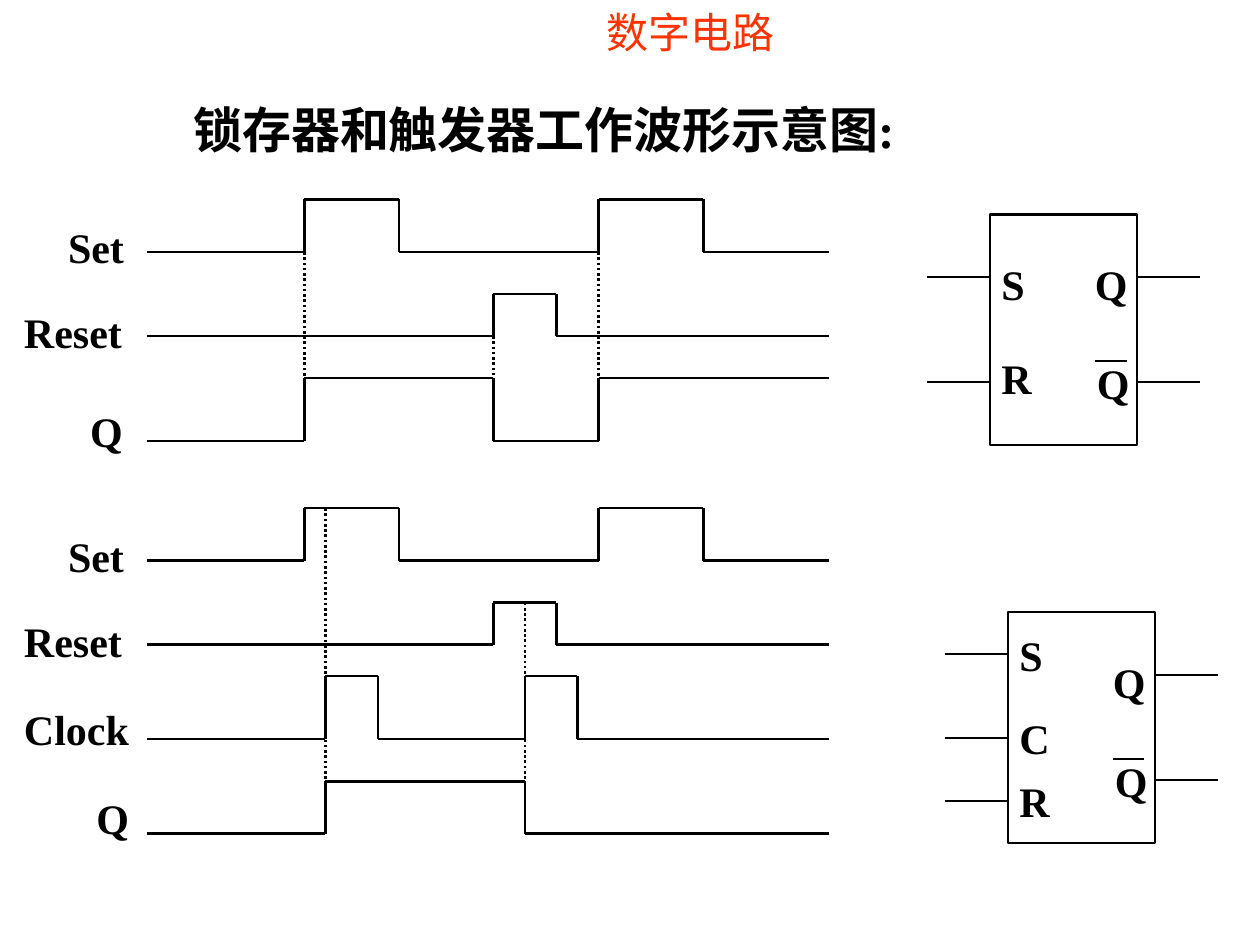
import pptx
import pptx.util
import pptx.dml.color
import pptx.enum.dml
import pptx.enum.shapes
import pptx.enum.text
import pptx.oxml.ns
from lxml import etree

COLORS = {"ink": "000000", "header": "FF3300"}
FONTS = {"latin": "Times New Roman", "chinese": "Noto Sans CJK SC"}
CELLS_PER_INCH = 12
WAVE_START, WAVE_END = 14, 79
CHIP_WIDTH, CHIP_HEIGHT, PIN_LENGTH = 14, 22, 6
LABEL_HEIGHT = 6
LABEL_WIDTHS = {"Set": 7.7, "Reset": 11.6, "Clock": 12.4,
                "S": 4.6, "R": 5.3, "C": 5.3, "Q": 5.5}

# Each signal: label, label column and row, low row, high row, toggle columns
SET = ("Set", 5.3, 20.5, 24, 19, (29, 38, 57, 67))
RESET = ("Reset", 1.1, 28.6, 32, 28, (47, 53))
# Each guide: column, top row, bottom row
DIAGRAMS = [
    {"row": 0,
     "signals": [SET, RESET, ("Q", 7.4, 38, 42, 36, (29, 47, 57))],
     "guides": [(29, 24, 37), (47, 28, 41), (57, 24, 37)]},
    {"row": 29.4,
     "signals": [SET, RESET,
                 ("Clock", 1.1, 37, 41, 35, (31, 36, 50, 55)),
                 ("Q", 8, 45.5, 50, 45, (31, 50))],
     "guides": [(31, 19, 45), (50, 28, 45)]},
]
# Each input: label, label row, pin row, all measured from the chip's top
CHIPS = [
    {"column": 94.3, "row": 20.4, "inputs": [("S", 3.6, 6), ("R", 12.6, 16)]},
    {"column": 96, "row": 58.3,
     "inputs": [("S", 1.1, 4), ("C", 9, 12), ("R", 15, 18)]},
]


def color(name):
    return pptx.dml.color.RGBColor.from_string(COLORS[name])


class SlideBuilder:
    """Draws in grid cells, twelve to the inch, from a movable origin."""

    def __init__(self, presentation):
        self.slide = presentation.slides.add_slide(presentation.slide_layouts[5])
        self.shapes = self.slide.shapes
        self.origin = (0, 0)

    def start_group(self, column, row):
        self.shapes = self.slide.shapes.add_group_shape().shapes
        self.origin = (column, row)

    def point(self, column, row):
        return [pptx.util.Inches((start + offset) / CELLS_PER_INCH)
                for start, offset in zip(self.origin, (column, row))]

    def size(self, width, height):
        return [pptx.util.Inches(cells / CELLS_PER_INCH) for cells in (width, height)]

    def format_text(self, shape, text, alignment="LEFT", ink="ink", **font_values):
        frame = shape.text_frame
        frame_values = {"text": text, "word_wrap": False,
                        "auto_size": pptx.enum.text.MSO_AUTO_SIZE.NONE,
                        "vertical_anchor": pptx.enum.text.MSO_ANCHOR.TOP}
        for name, value in frame_values.items():
            setattr(frame, name, value)
        paragraph = frame.paragraphs[0]
        paragraph.alignment = pptx.enum.text.PP_ALIGN[alignment]
        run = paragraph.runs[0]
        values = {"name": FONTS["latin"], "size": pptx.util.Pt(24), "bold": True}
        for name, value in {**values, **font_values}.items():
            setattr(run.font, name, value)
        run.font.color.rgb = color(ink)
        east_asian = etree.SubElement(run.font._element, pptx.oxml.ns.qn("a:ea"))
        east_asian.set("typeface", FONTS["chinese"])

    def title(self, text, column, row, width, height):
        shape = self.slide.shapes.title
        shape.left, shape.top = self.point(column, row)
        shape.width, shape.height = self.size(width, height)
        self.format_text(shape, text, size=pptx.util.Pt(28))

    def header(self, text, column, row, width, height):
        shape = self.shapes.add_textbox(*self.point(column, row), *self.size(width, height))
        self.format_text(shape, text, "CENTER", "header",
                         name=FONTS["chinese"], bold=False)

    def label(self, text, column, row):
        size = self.size(LABEL_WIDTHS[text], LABEL_HEIGHT)
        self.format_text(self.shapes.add_textbox(*self.point(column, row), *size), text)

    def outline(self, shape):
        shape.line.color.rgb = color("ink")
        shape.line.width = pptx.util.Pt(1.5)

    def line(self, start, end, dotted=False):
        connector = self.shapes.add_connector(
            pptx.enum.shapes.MSO_CONNECTOR.STRAIGHT, *self.point(*start), *self.point(*end))
        self.outline(connector)
        if dotted:
            connector.line.dash_style = pptx.enum.dml.MSO_LINE.ROUND_DOT
        etree.SubElement(connector._element.spPr, pptx.oxml.ns.qn("a:effectLst"))

    def signal(self, text, label_column, label_row, low, high, toggles):
        """Draws a labelled waveform that starts low and flips at each toggle."""
        self.label(text, label_column, label_row)
        column, level, other = WAVE_START, low, high
        for toggle in toggles:
            self.line((column, level), (toggle, level))
            self.line((toggle, level), (toggle, other))
            column, level, other = toggle, other, level
        self.line((column, level), (WAVE_END, level))

    def chip(self, inputs):
        box = self.shapes.add_shape(pptx.enum.shapes.MSO_SHAPE.RECTANGLE,
                                    *self.point(0, 0), *self.size(CHIP_WIDTH, CHIP_HEIGHT))
        box.shadow.inherit = False
        box.fill.background()
        self.outline(box)
        for text, label_row, pin_row in inputs:
            self.line((-PIN_LENGTH, pin_row), (0, pin_row))
            self.label(text, -0.1, label_row)
        for column, label_row, pin_row in [(8.8, 3.6, 6), (9, 13.1, 16)]:
            self.line((CHIP_WIDTH, pin_row), (CHIP_WIDTH + PIN_LENGTH, pin_row))
            self.label("Q", column, label_row)
        self.line((10, 14), (13, 14))


def main():
    presentation = pptx.Presentation()
    presentation.slide_width = pptx.util.Inches(10)
    presentation.slide_height = pptx.util.Inches(7.5)
    builder = SlideBuilder(presentation)
    builder.header("数字电路", 48.7, 0, 34.1, 7.2)
    builder.title("锁存器和触发器工作波形示意图:", 17.2, 8.9, 70.3, 6.8)
    for diagram in DIAGRAMS:
        builder.start_group(0, diagram["row"])
        for signal in diagram["signals"]:
            builder.signal(*signal)
        for column, top, bottom in diagram["guides"]:
            builder.line((column, top), (column, bottom), dotted=True)
    for chip in CHIPS:
        builder.start_group(chip["column"], chip["row"])
        builder.chip(chip["inputs"])
    presentation.save("out.pptx")


if __name__ == "__main__":
    main()
